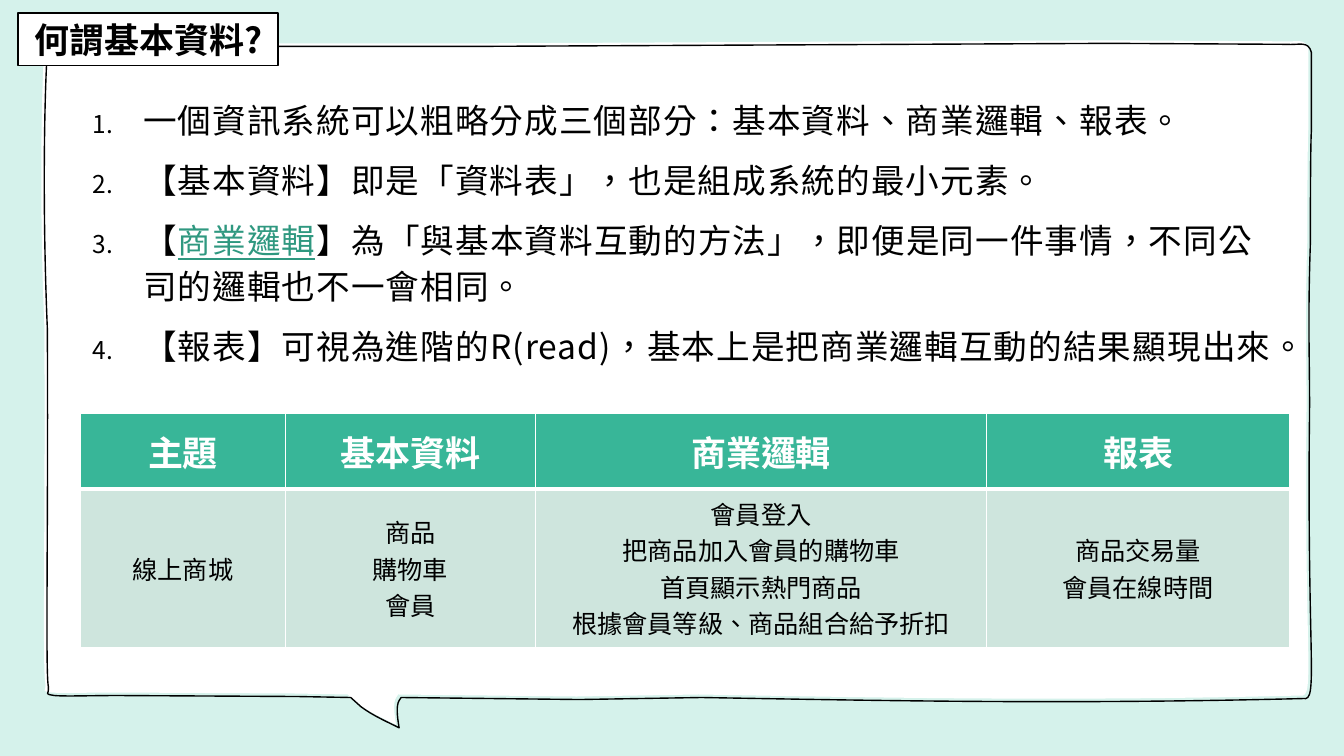
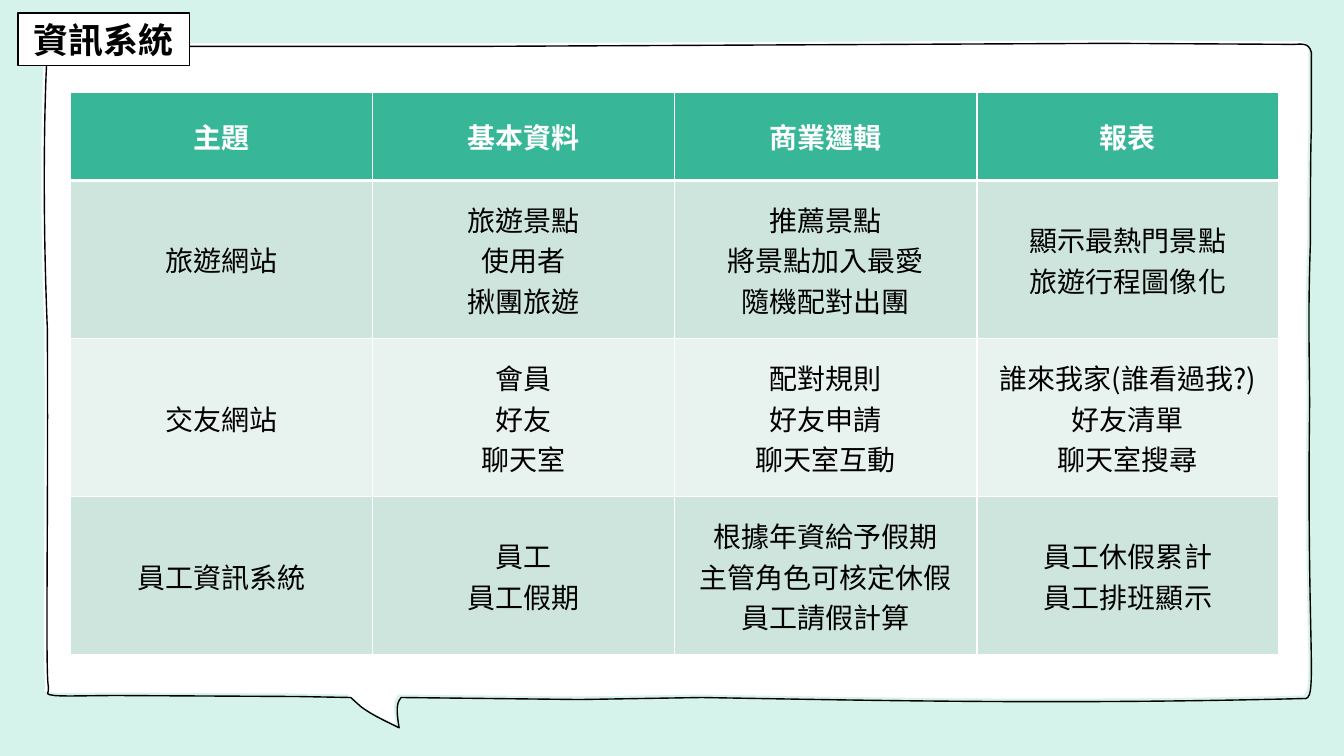
import dataclasses
import itertools
import typing

import lxml.etree
import pptx
import pptx.dml.color
import pptx.enum.shapes
import pptx.enum.text
import pptx.oxml.ns
import pptx.util

Inches = pptx.util.Inches
Pt = pptx.util.Pt
RGBColor = pptx.dml.color.RGBColor
Align = pptx.enum.text.PP_ALIGN
Anchor = pptx.enum.text.MSO_ANCHOR
qn = pptx.oxml.ns.qn

MINT = RGBColor(0xD5, 0xF2, 0xEB)
GREEN = RGBColor(0x38, 0xB6, 0x98)
LINK = RGBColor(0x2F, 0x98, 0x80)
SAGE = RGBColor(0xCE, 0xE5, 0xDD)
PALE = RGBColor(0xE8, 0xF3, 0xEF)
WHITE = RGBColor(0xFF, 0xFF, 0xFF)
BLACK = RGBColor(0, 0, 0)
SC = "Noto Sans CJK SC"
JP = "Noto Sans CJK JP"
HEADS = ("主題", "基本資料", "商業邏輯", "報表")
BUBBLE = (
    (10.99, 0.4), (12.73, 0.41), (12.86, 0.42, 12.95, 0.37, 12.98, 0.49),
    (12.98, 0.76), (12.98, 0.93, 12.98, 1.1, 12.98, 1.27),
    (12.97, 1.4, 12.97, 2.33, 12.97, 2.39),
    (12.94, 3.27, 12.97, 3.63, 12.96, 4.22),
    (12.94, 6.54, 13.05, 6.93, 12.9, 6.9),
    (10.53, 6.96, 8.69, 6.92, 6.93, 6.89),
    (5.72, 6.91), (3.95, 6.89), (3.93, 6.92),
    (3.9, 6.97, 3.91, 7.07, 3.93, 7.19),
    (3.81, 7.13, 3.67, 7.07, 3.55, 6.98),
    (3.45, 6.89), (2.92, 6.88), (1.14, 6.87),
    (0.86, 6.87, 0.63, 6.88, 0.51, 6.87),
    (0.4, 6.85, 0.46, 6.87, 0.45, 6.78),
    (0.42, 6.63, 0.45, 5.19, 0.44, 3.23),
    (0.39, 2.04, 0.41, 0.93, 0.44, 0.47),
    (0.45, 0.46, 0.45, 0.45, 0.45, 0.45),
    (0.5, 0.44), (0.74, 0.44), (0.86, 0.44), (1.4, 0.43), (4.77, 0.43),
    (10.99, 0.4),
)


@dataclasses.dataclass(frozen=True)
class Face:
    size: float
    color: RGBColor = BLACK
    bold: bool = False
    name: str = SC
    under: bool = False


@dataclasses.dataclass(frozen=True)
class Grid:
    left: float
    top: float
    cols: tuple[float, ...]
    rows: tuple[float, ...]
    head: Face
    body: Face
    data: tuple[tuple[str, ...], ...]
    alt: frozenset[tuple[int, int]] = frozenset()


@dataclasses.dataclass(frozen=True)
class Page:
    title: str
    width: float
    grid: Grid
    notes: tuple[tuple[str, ...], ...] = ()


def style(item: typing.Any, form: dict[str, typing.Any]) -> None:
    for key, value in form.items():
        setattr(item, key, value)


def add_run(para: typing.Any, text: str, face: Face) -> typing.Any:
    run = para.add_run()
    run.text = text
    style(run.font, {"size": Pt(face.size), "bold": face.bold,
                     "name": face.name, "underline": face.under})
    run.font.color.rgb = face.color
    props = run.font._element
    props.set("lang", "zh-TW")
    lxml.etree.SubElement(props, qn("a:ea")).set("typeface", face.name)
    return props


def bend(shape: typing.Any, path: tuple[tuple[float, ...], ...]) -> None:
    lines = list(shape._element.iter(qn("a:lnTo")))
    for line, step in zip(lines, path[1:]):
        if len(step) == 2:
            continue
        line.tag = qn("a:cubicBezTo")
        for spot in (0, 1):
            dot = lxml.etree.Element(qn("a:pt"))
            dot.set("x", str(Inches(step[2 * spot]) - shape.left))
            dot.set("y", str(Inches(step[2 * spot + 1]) - shape.top))
            line.insert(spot, dot)


def paint(shape: typing.Any, fill: RGBColor | None, line: RGBColor | None) -> None:
    shape.shadow.inherit = False
    if fill is None:
        shape.fill.background()
    else:
        shape.fill.solid()
        shape.fill.fore_color.rgb = fill
    if line is None:
        shape.line.fill.background()
    else:
        shape.line.color.rgb = line
        shape.line.width = Pt(1)


def add_frame(slide: typing.Any) -> None:
    back = slide.background.fill
    back.solid()
    back.fore_color.rgb = MINT
    dots = [(Inches(step[-2]), Inches(step[-1])) for step in BUBBLE]
    for shift, fill, line in ((0, WHITE, None), (0.03, None, BLACK)):
        pen = slide.shapes.build_freeform(*dots[0])
        pen.add_line_segments(dots[1:], close=True)
        shape = pen.convert_to_shape()
        bend(shape, BUBBLE)
        style(shape, {"left": shape.left + Inches(shift),
                      "top": shape.top + Inches(shift)})
        paint(shape, fill, line)


def add_title(slide: typing.Any, text: str, width: float) -> None:
    box = slide.shapes.add_shape(
        pptx.enum.shapes.MSO_SHAPE.RECTANGLE,
        Inches(0.18), Inches(0.13), Inches(width), Inches(0.52))
    paint(box, WHITE, BLACK)
    style(box.text_frame, {"word_wrap": False, "vertical_anchor": Anchor.MIDDLE})
    para = box.text_frame.paragraphs[0]
    para.alignment = Align.CENTER
    add_run(para, text, Face(25, bold=True))


def add_notes(slide: typing.Any, notes: tuple[tuple[str, ...], ...]) -> None:
    box = slide.shapes.add_textbox(
        Inches(0.8), Inches(0.82), Inches(12.07), Inches(2.93))
    frame = box.text_frame
    style(frame, {"word_wrap": True, "margin_left": Inches(0.12),
                  "margin_top": Inches(0.12), "margin_right": Inches(0.12),
                  "margin_bottom": Inches(0.1)})
    for row, parts in enumerate(notes):
        para = frame.add_paragraph() if row else frame.paragraphs[0]
        style(para, {"line_spacing": 1.14, "space_before": Pt(10)})
        props = para._p.get_or_add_pPr()
        props.set("marL", str(Inches(0.5)))
        props.set("indent", str(-Inches(0.5)))
        for tag, key, value in (("a:buSzPct", "val", "73000"),
                                ("a:buAutoNum", "type", "arabicPeriod")):
            lxml.etree.SubElement(props, qn(tag)).set(key, value)
        for spot, text in enumerate(parts):
            face = Face(24, LINK, under=True) if spot % 2 else Face(24)
            add_run(para, text, face).set("spc", "80")


def add_edges(cell: typing.Any, base: float) -> None:
    props = cell._tc.get_or_add_tcPr()
    for side, width in (("L", 1), ("R", 1), ("T", 1), ("B", base)):
        line = lxml.etree.SubElement(props, qn("a:ln" + side))
        line.set("w", str(Pt(width)))
        fill = lxml.etree.SubElement(line, qn("a:solidFill"))
        lxml.etree.SubElement(fill, qn("a:srgbClr")).set("val", str(WHITE))


def add_grid(slide: typing.Any, grid: Grid) -> None:
    table = slide.shapes.add_table(
        len(grid.rows), len(grid.cols), Inches(grid.left), Inches(grid.top),
        Inches(sum(grid.cols)), Inches(sum(grid.rows))).table
    for col, width in zip(table.columns, grid.cols):
        col.width = Inches(width)
    for row, height in zip(table.rows, grid.rows):
        row.height = Inches(height)
    for r, texts in enumerate((HEADS, *grid.data)):
        tint = (PALE, SAGE)[r % 2] if r else GREEN
        for c, text in enumerate(texts):
            cell = table.cell(r, c)
            add_edges(cell, 1 if r else 3)
            cell.fill.solid()
            cell.fill.fore_color.rgb = tint
            cell.vertical_anchor = Anchor.MIDDLE
            face = grid.body if r else grid.head
            if (r, c) in grid.alt:
                face = dataclasses.replace(face, name=JP)
            for n, line in enumerate(text.split("\n")):
                frame = cell.text_frame
                para = frame.add_paragraph() if n else frame.paragraphs[0]
                para.alignment = Align.CENTER
                add_run(para, line, face)


PAGES = (
    Page(
        "何謂基本資料?", 2.58,
        Grid(0.8, 4.1, (2.03, 2.48, 4.48, 3), (0.75, 1.57),
             Face(25, WHITE, True), Face(18),
             (("線上商城", "商品\n購物車\n會員",
               "會員登入\n把商品加入會員的購物車\n首頁顯示熱門商品\n根據會員等級、商品組合給予折扣",
               "商品交易量\n會員在線時間"),)),
        (("一個資訊系統可以粗略分成三個部分：基本資料、商業邏輯、報表。",),
         ("【基本資料】即是「資料表」，也是組成系統的最小元素。",),
         ("【", "商業邏輯",
          "】為「與基本資料互動的方法」，即便是同一件事情，不同公司的邏輯也不一會相同。"),
         ("【報表】可視為進階的R(read)，基本上是把商業邏輯互動的結果顯現出來。",)),
    ),
    Page(
        "資訊系統", 1.7,
        Grid(0.7, 0.92, (11.99 / 4,) * 4, (0.87, *(1.57,) * 3),
             Face(20, WHITE, True), Face(20),
             (("旅遊網站", "旅遊景點\n使用者\n揪團旅遊",
               "推薦景點\n將景點加入最愛\n隨機配對出團",
               "顯示最熱門景點\n旅遊行程圖像化"),
              ("交友網站", "會員\n好友\n聊天室",
               "配對規則\n好友申請\n聊天室互動",
               "誰來我家(誰看過我?)\n好友清單\n聊天室搜尋"),
              ("員工資訊系統", "員工\n員工假期",
               "根據年資給予假期\n主管角色可核定休假\n員工請假計算",
               "員工休假累計\n員工排班顯示")),
             frozenset(itertools.product((1, 2, 3), (1, 2))) | {(3, 3)}),
    ),
)


def main() -> None:
    deck = pptx.Presentation()
    style(deck, {"slide_width": Inches(40 / 3), "slide_height": Inches(7.5)})
    for page in PAGES:
        slide = deck.slides.add_slide(deck.slide_layouts[6])
        add_frame(slide)
        add_title(slide, page.title, page.width)
        if page.notes:
            add_notes(slide, page.notes)
        add_grid(slide, page.grid)
    deck.save("out.pptx")


main()
